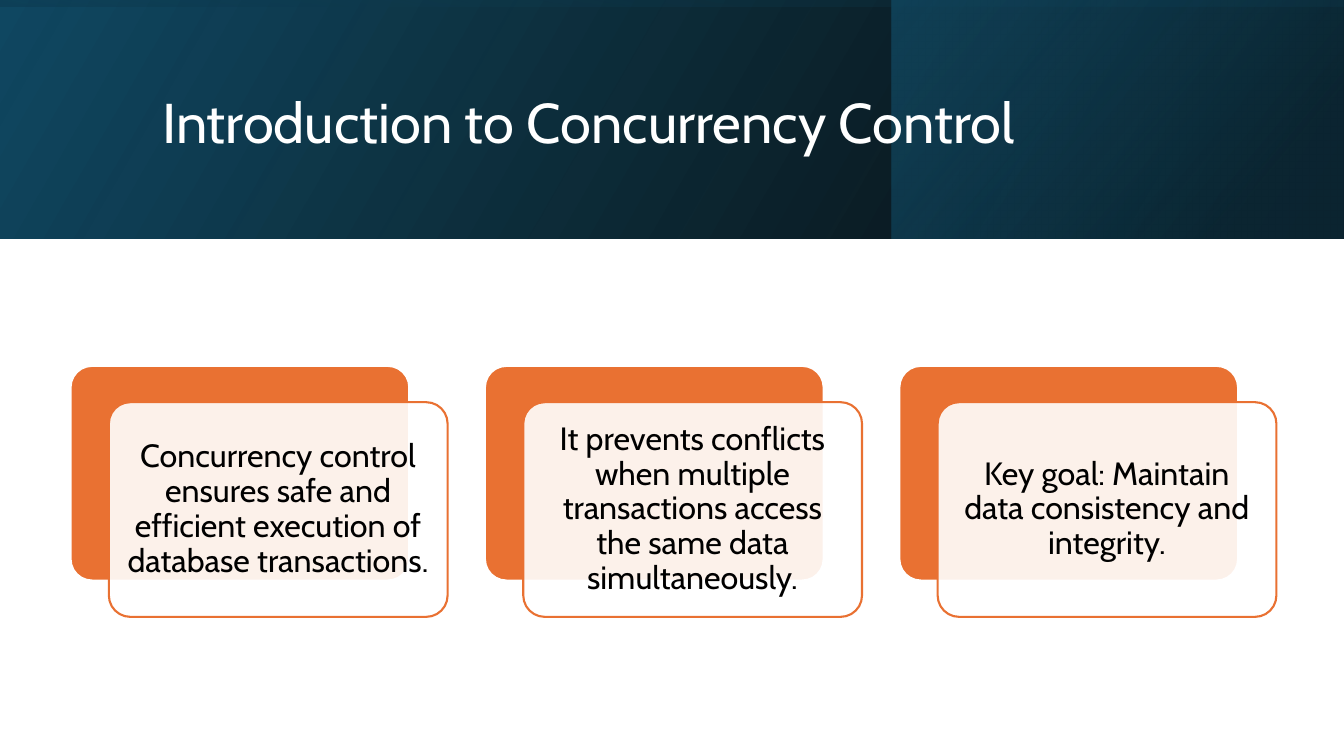
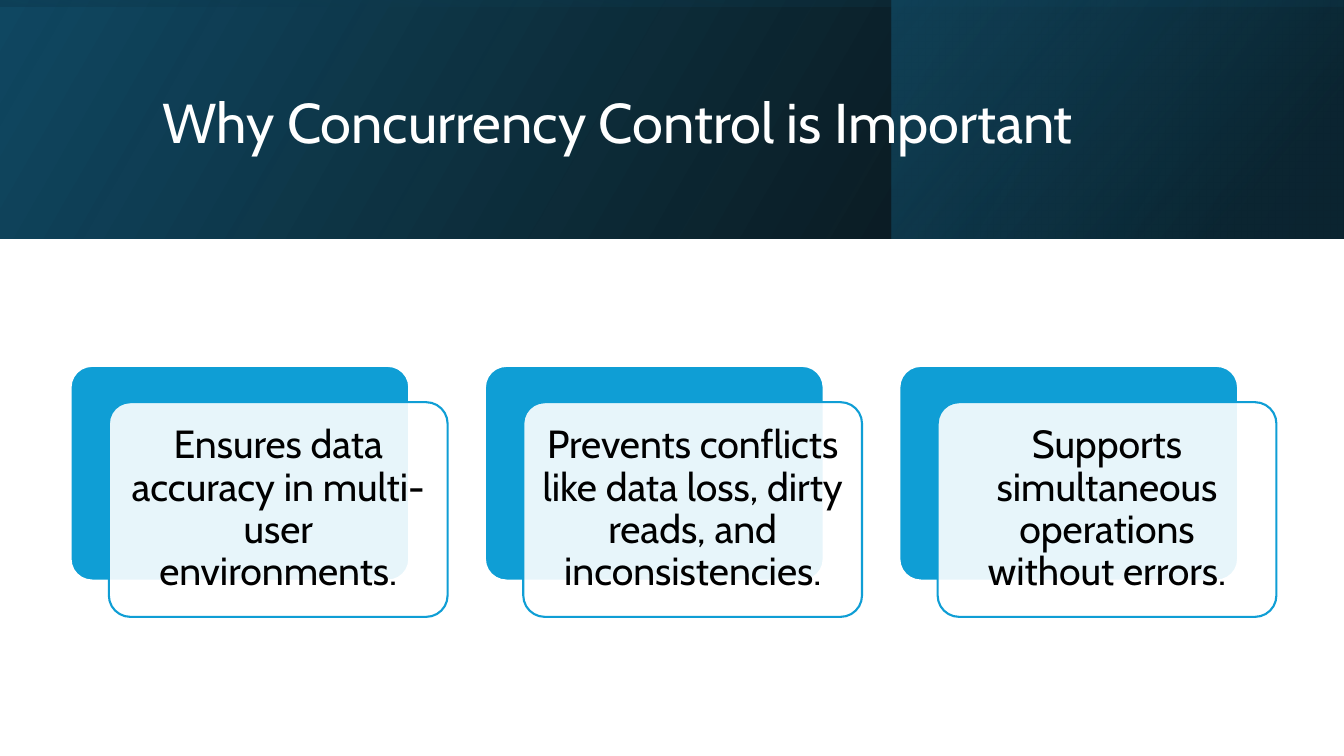
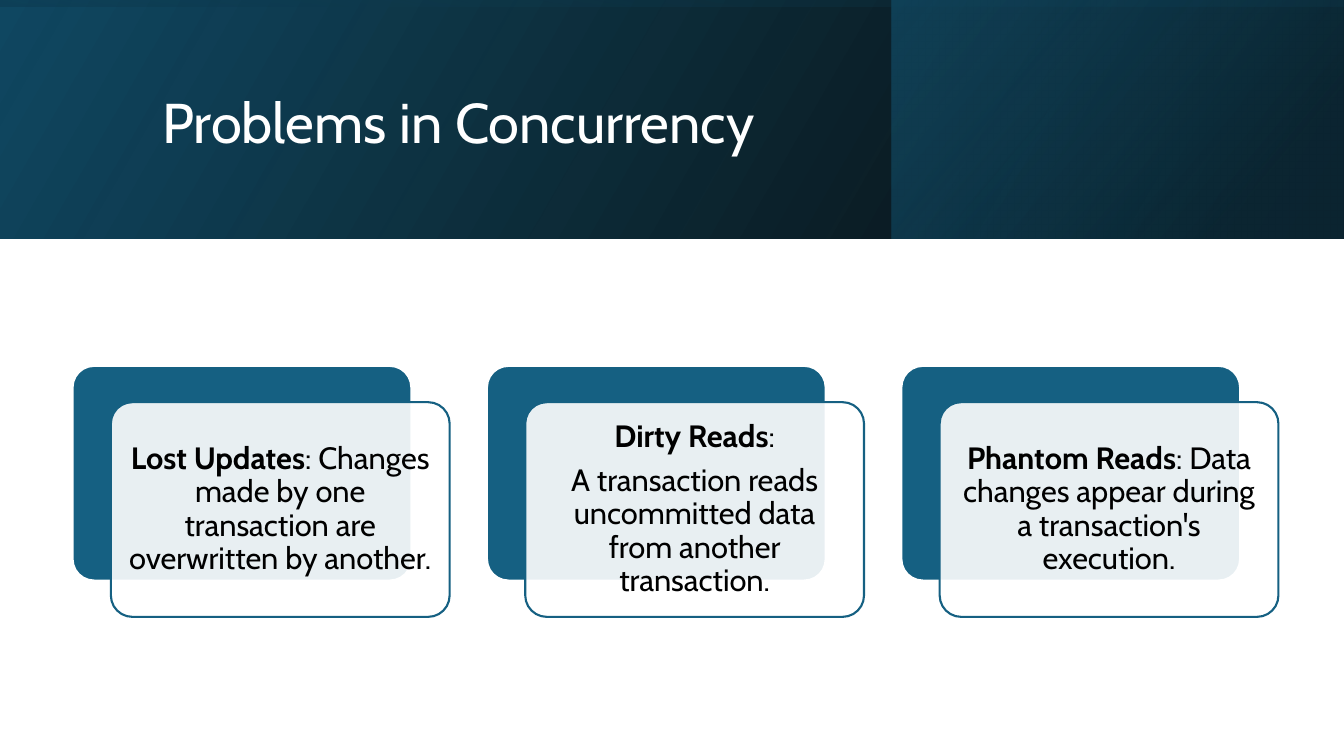
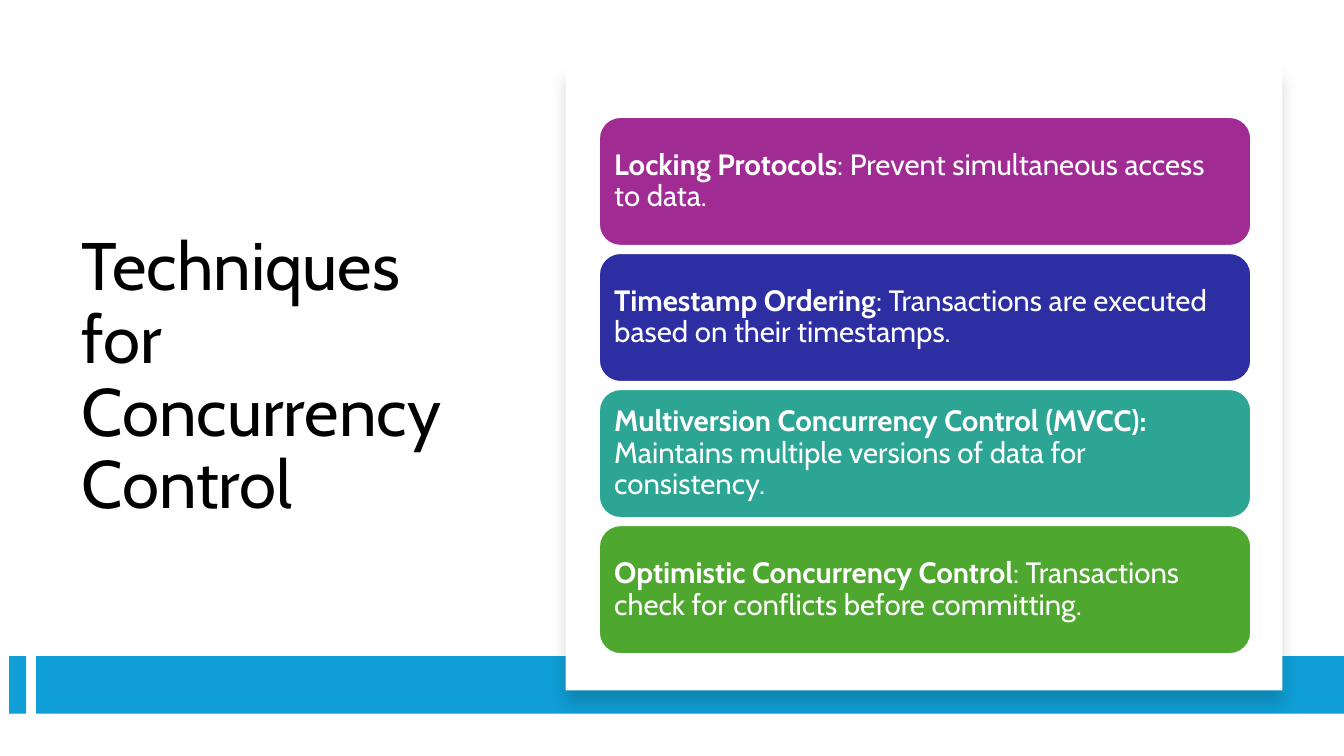
from lxml import etree
from pptx import Presentation
from pptx.dml.color import RGBColor
from pptx.enum.shapes import MSO_SHAPE
from pptx.enum.text import MSO_ANCHOR, MSO_AUTO_SIZE, PP_ALIGN
from pptx.oxml.ns import qn
from pptx.util import Inches, Pt

RECT = MSO_SHAPE.RECTANGLE
ROUND = MSO_SHAPE.ROUNDED_RECTANGLE
MIDDLE = MSO_ANCHOR.MIDDLE
FIXED = MSO_AUTO_SIZE.NONE
LEFT = PP_ALIGN.LEFT
CENTER = PP_ALIGN.CENTER

WHITE = RGBColor(0xFF, 0xFF, 0xFF)
BLACK = RGBColor(0x00, 0x00, 0x00)
NAVY = RGBColor(0x0B, 0x30, 0x41)
DEEP = RGBColor(0x10, 0x48, 0x62)
TEAL = RGBColor(0x15, 0x60, 0x82)
SKY = RGBColor(0x0F, 0x9E, 0xD5)
ORANGE = RGBColor(0xE9, 0x71, 0x32)
PURPLE = RGBColor(0xA0, 0x2B, 0x93)
INDIGO = RGBColor(0x2C, 0x2E, 0xA2)
MINT = RGBColor(0x2D, 0xA5, 0x94)
GREEN = RGBColor(0x4E, 0xA7, 0x2E)

BANDS = [
    ((0, 0, 13.33, 2.37), 0, 330, [(0, BLACK, 96), (100, DEEP, 100)]),
    ((8.84, 0, 4.48, 2.37), 0, 320, [(19, NAVY, 68), (100, TEAL, 48)]),
    ((5.48, -5.48, 2.37, 13.33), 270, 350, [(23, DEEP, 16), (99, BLACK, 45)]),
]

TRIOS = [
    ("Introduction to Concurrency Control", ORANGE, 0.7, 23, 0.1, [
        [("", "Concurrency control ensures safe and efficient execution of database transactions.")],
        [("", "It prevents conflicts when multiple transactions access the same data simultaneously.")],
        [("", "Key goal: Maintain data consistency and integrity.")],
    ]),
    ("Why Concurrency Control is Important", SKY, 0.7, 28, 0.12, [
        [("", "Ensures data accuracy in multi-user environments.")],
        [("", "Prevents conflicts like data loss, dirty reads, and inconsistencies.")],
        [("", "Supports simultaneous operations without errors.")],
    ]),
    ("Problems in Concurrency", TEAL, 0.72, 22, 0.09, [
        [("Lost Updates", ": Changes made by one transaction are overwritten by another.")],
        [("Dirty Reads", ":"),
         ("", "A transaction reads uncommitted data from another transaction.")],
        [("Phantom Reads", ": Data changes appear during a transaction's execution.")],
    ]),
]

PILLS = [
    (PURPLE, "Locking Protocols", ": Prevent simultaneous access to data."),
    (INDIGO, "Timestamp Ordering", ": Transactions are executed based on their timestamps."),
    (MINT, "Multiversion Concurrency Control (MVCC):",
     " Maintains multiple versions of data for consistency."),
    (GREEN, "Optimistic Concurrency Control",
     ": Transactions check for conflicts before committing."),
]


def put(target, values):
    for name, value in values.items():
        setattr(target, name, value)


def node(parent, tag, **attrs):
    return etree.SubElement(parent, qn(tag), {k: str(v) for k, v in attrs.items()})


def tint(parent, color, alpha):
    node(node(parent, "a:srgbClr", val=color), "a:alpha", val=alpha * 1000)


class Deck:
    font = "Cabin"

    def __init__(self):
        self.file = Presentation()
        put(self.file, {"slide_width": Inches(13.33), "slide_height": Inches(7.5)})

    def start(self):
        self.slide = self.file.slides.add_slide(self.file.slide_layouts[5])

    def place(self, shape, box):
        put(shape, dict(zip(("left", "top", "width", "height"), map(Inches, box))))

    def words(self, frame, lines, size, color, align, after=0):
        put(frame, {"word_wrap": True, "auto_size": FIXED, "vertical_anchor": MIDDLE})
        for i, pair in enumerate(lines):
            para = frame.add_paragraph() if i else frame.paragraphs[0]
            put(para, {"alignment": align, "line_spacing": 0.9,
                       "space_before": Pt(0), "space_after": Pt(after * size)})
            for text, bold in zip(pair, (True, False)):
                if text:
                    run = para.add_run()
                    run.text = text
                    put(run.font, {"name": self.font, "size": Pt(size), "bold": bold})
                    run.font.color.rgb = color

    def title(self, text, box, size, color):
        shape = self.slide.shapes.title
        self.place(shape, box)
        self.words(shape.text_frame, [("", text)], size, color, LEFT)
        self.slide.shapes.element.append(shape.element)

    def shape(self, kind, box, fill=None, line=None):
        shape = self.slide.shapes.add_shape(kind, *map(Inches, box))
        shape.shadow.inherit = False
        if fill is None:
            shape.fill.background()
        else:
            shape.fill.solid()
            shape.fill.fore_color.rgb = fill
        if line is None:
            shape.line.fill.background()
        else:
            shape.line.color.rgb = line
            shape.line.width = Pt(1.5)
        return shape

    def band(self, box, turn, angle, stops):
        shape = self.shape(RECT, box)
        shape.rotation = turn
        props = shape.element.spPr
        props.xfrm.set("flipH", "1")
        blank = props.find(qn("a:noFill"))
        blend = node(props, "a:gradFill")
        row = node(blend, "a:gsLst")
        for spot, color, alpha in stops:
            tint(node(row, "a:gs", pos=spot * 1000), color, alpha)
        node(blend, "a:lin", ang=angle * 60000, scaled=0)
        props.replace(blank, blend)

    def text(self, shape, lines, size, color, align, inset):
        frame = shape.text_frame
        sides = ("left", "top", "right", "bottom")
        put(frame, {f"margin_{side}": Inches(inset) for side in sides})
        self.words(frame, lines, size, color, align, 0.35)

    def card(self, left, color, lines, size, inset):
        back = self.shape(ROUND, (left, 3.63, 3.36, 2.13), color, WHITE)
        front = self.shape(ROUND, (left + 0.38, 3.99, 3.36, 2.13), WHITE, color)
        for shape in (back, front):
            shape.adjustments[0] = 0.1
        shade = front.element.spPr.find(qn("a:solidFill")).find(qn("a:srgbClr"))
        node(shade, "a:alpha", val=90000)
        self.text(front, lines, size, BLACK, CENTER, inset)

    def panel(self, box):
        shape = self.shape(RECT, box, WHITE)
        glow = node(shape.element.spPr.find(qn("a:effectLst")), "a:outerShdw",
                    blurRad=Pt(11), dist=Pt(10), dir=5400000, algn="t", rotWithShape=0)
        tint(glow, BLACK, 15)

    def pill(self, top, color, head, body):
        shape = self.shape(ROUND, (5.94, top, 6.47, 1.28), color, WHITE)
        self.text(shape, [(head, body)], 21, WHITE, LEFT, 0.09)


def main():
    deck = Deck()
    for title, color, left, size, inset, cards in TRIOS:
        deck.start()
        for band in BANDS:
            deck.band(*band)
        deck.title(title, (1.51, 0.38, 10.63, 1.72), 40, WHITE)
        for i, lines in enumerate(cards):
            deck.card(left + 4.11 * i, color, lines, size, inset)

    deck.start()
    deck.title("Techniques for Concurrency Control", (0.71, 1.2, 4.15, 5.1), 48, BLACK)
    for left, width in ((0.09, 0.17), (0.36, 12.97)):
        deck.shape(RECT, (left, 6.51, width, 0.57), SKY)
    deck.panel((5.61, 0.64, 7.11, 6.21))
    for i, pill in enumerate(PILLS):
        deck.pill(1.16 + 1.35 * i, *pill)
    deck.file.save("out.pptx")


if __name__ == "__main__":
    main()
